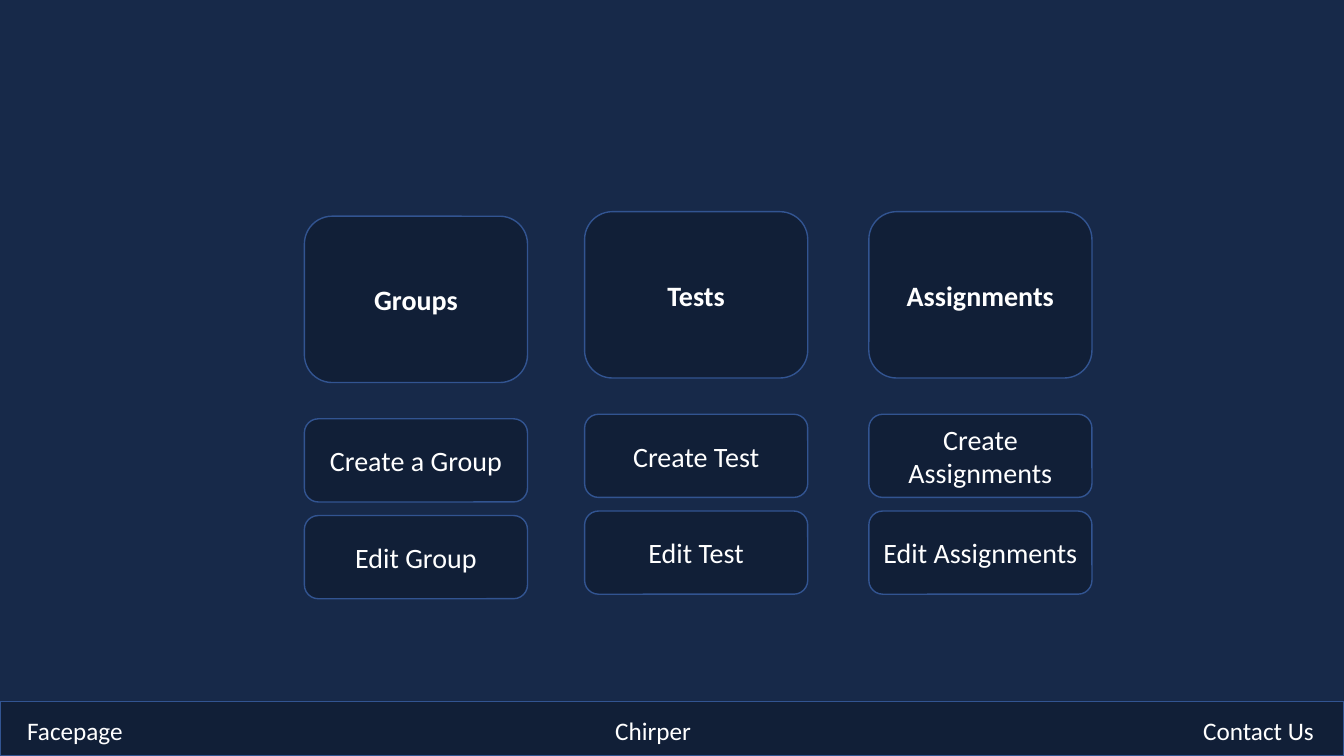
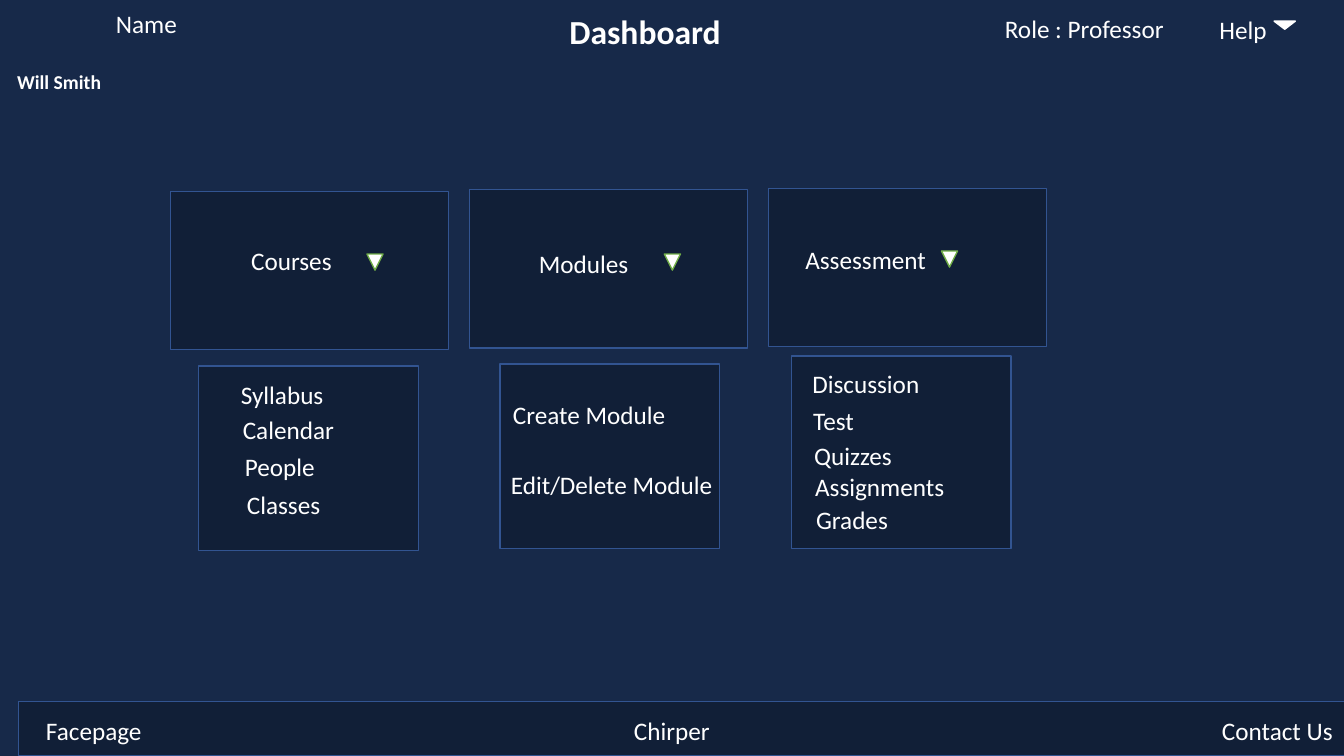
from dataclasses import dataclass

from pptx import Presentation
from pptx import util as u
from pptx.dml.color import RGBColor
from pptx.enum import shapes, text

WIDTH, HEIGHT = u.Inches(13.333), u.Inches(7.5)
NAVY = RGBColor(0x17, 0x29, 0x49)
PANEL = RGBColor(0x11, 0x1F, 0x37)
OUTLINE = RGBColor(0x32, 0x54, 0x91)
WHITE = RGBColor(0xFF, 0xFF, 0xFF)
GREEN = RGBColor(0x70, 0xAD, 0x47)
FONT = "Calibri"
RECT = shapes.MSO_SHAPE.RECTANGLE
ROUNDED = shapes.MSO_SHAPE.ROUNDED_RECTANGLE
TRIANGLE = shapes.MSO_SHAPE.ISOSCELES_TRIANGLE
LEFT, CENTER = text.PP_ALIGN.LEFT, text.PP_ALIGN.CENTER


@dataclass(frozen=True)
class Box:
    """A place on the slide, in percent of its width and height."""
    left: float
    top: float
    width: float
    height: float = 5.33

    def emu(self) -> tuple[int, int, int, int]:
        return (int(WIDTH * self.left / 100), int(HEIGHT * self.top / 100),
                int(WIDTH * self.width / 100), int(HEIGHT * self.height / 100))


@dataclass(frozen=True)
class Label:
    words: str
    box: Box
    size: int = 18
    bold: bool = False
    align: int = LEFT


@dataclass(frozen=True)
class Topic:
    """A bold card with its action buttons below."""
    title: str
    left: float
    top: float
    actions: tuple[str, ...]


@dataclass(frozen=True)
class Menu:
    """A dashboard card and its drop-down list; each entry is (words, top)."""
    title: Label
    arrow: Box
    panel: Box
    entries: tuple[tuple[str, float], ...]
    entry_left: float
    entry_drift: float


FOOTER_LINKS = ("Facepage", "Chirper", "Contact Us")
FOOTER_STEP = 43.75

TOPICS = (
    Topic("Groups", 22.65, 28.6, ("Create a Group", "Edit Group")),
    Topic("Tests", 43.5, 28, ("Create Test", "Edit Test")),
    Topic("Assignments", 64.65, 28, ("Create Assignments", "Edit Assignments")),
)

HEADER = (
    Label("Name", Box(7.88, 0.4, 6.9)),
    Label("Dashboard", Box(41.63, 0.8, 13.95, 6.67), 24, True),
    Label("Role : Professor", Box(74.03, 1.07, 13.95)),
    Label("Help", Box(90, 1.2, 6)),
    Label("Will Smith", Box(0.53, 8.53, 9.38, 4.53), 14, True),
)
HELP_ARROW = Box(94.8, 2.8, 1.58, 1.07)

MENUS = (
    Menu(Label("Courses", Box(15.98, 31.73, 11.4), align=CENTER),
         Box(27.3, 33.6, 1.2, 2.13), Box(14.78, 48.4, 16.35, 24.4),
         (("Syllabus", 49.47), ("Calendar", 54.13), ("People", 59.07), ("Classes", 64.13)),
         17.18, 0.15),
    Menu(Label("Modules", Box(38.25, 32.13, 10.35), align=CENTER),
         Box(49.43, 33.6, 1.2, 2.13), Box(37.2, 48.13, 16.35, 24.4),
         (("Create Module", 52.13), ("Edit/Delete Module", 61.47)),
         37.43, -0.15),
    Menu(Label("Assessment ", Box(58.88, 31.6, 11.48), align=CENTER),
         Box(70.05, 33.2, 1.2, 2.13), Box(58.88, 47.07, 16.35, 25.47),
         (("Discussion", 48), ("Test", 52.93), ("Quizzes", 57.6),
          ("Assignments", 61.73), ("Grades", 66)),
         59.7, 0.07),
)


def write(frame, words: str, size: int, bold: bool, align: int) -> None:
    frame.word_wrap = True
    paragraph = frame.paragraphs[0]
    paragraph.alignment = align
    run = paragraph.add_run()
    run.text = words
    run.font.name, run.font.size, run.font.bold = FONT, u.Pt(size), bold
    run.font.color.rgb = WHITE


def add_label(slide, label: Label) -> None:
    frame = slide.shapes.add_textbox(*label.box.emu()).text_frame
    write(frame, label.words, label.size, label.bold, label.align)


def add_panel(slide, box: Box, kind=RECT, fill: RGBColor = PANEL, line: RGBColor = OUTLINE):
    panel = slide.shapes.add_shape(kind, *box.emu())
    panel.shadow.inherit = False
    panel.fill.solid()
    panel.fill.fore_color.rgb = fill
    panel.line.color.rgb = line
    panel.line.width = u.Pt(1)
    return panel


def add_button(slide, words: str, box: Box, bold: bool = False) -> None:
    frame = add_panel(slide, box, ROUNDED).text_frame
    frame.vertical_anchor = text.MSO_ANCHOR.MIDDLE
    write(frame, words, 20, bold, CENTER)


def add_arrow(slide, box: Box, line: RGBColor) -> None:
    add_panel(slide, box, TRIANGLE, WHITE, line).rotation = 180


def add_page(deck, footer_left: float):
    """Add a blank slide with the shared background and footer."""
    slide = deck.slides.add_slide(deck.slide_layouts[6])
    slide.background.fill.solid()
    slide.background.fill.fore_color.rgb = NAVY
    add_panel(slide, Box(footer_left, 92.8, 100, 7.2))
    for column, words in enumerate(FOOTER_LINKS):
        left = footer_left + 1.28 + column * FOOTER_STEP
        add_label(slide, Label(words, Box(left, 94, 9.8)))
    return slide


def add_topic(slide, topic: Topic) -> None:
    add_button(slide, topic.title, Box(topic.left, topic.top, 16.6, 22), bold=True)
    for row, action in enumerate(topic.actions):
        top = topic.top + 26.8 + row * 12.8
        add_button(slide, action, Box(topic.left, top, 16.6, 11))


def add_menu(slide, column: int, menu: Menu) -> None:
    add_panel(slide, Box(12.68 + column * 22.24, 25.3 - column * 0.2, 20.7, 20.93))
    add_label(slide, menu.title)
    add_arrow(slide, menu.arrow, GREEN)
    add_panel(slide, menu.panel)
    for row, (words, top) in enumerate(menu.entries):
        left = menu.entry_left + row * menu.entry_drift
        add_label(slide, Label(words, Box(left, top, 17.4)))


def main() -> None:
    deck = Presentation()
    deck.slide_width, deck.slide_height = WIDTH, HEIGHT

    actions = add_page(deck, footer_left=0)
    for topic in TOPICS:
        add_topic(actions, topic)

    dashboard = add_page(deck, footer_left=1.4)
    for label in HEADER:
        add_label(dashboard, label)
    add_arrow(dashboard, HELP_ARROW, WHITE)
    for column, menu in enumerate(MENUS):
        add_menu(dashboard, column, menu)

    deck.save("out.pptx")


if __name__ == "__main__":
    main()
